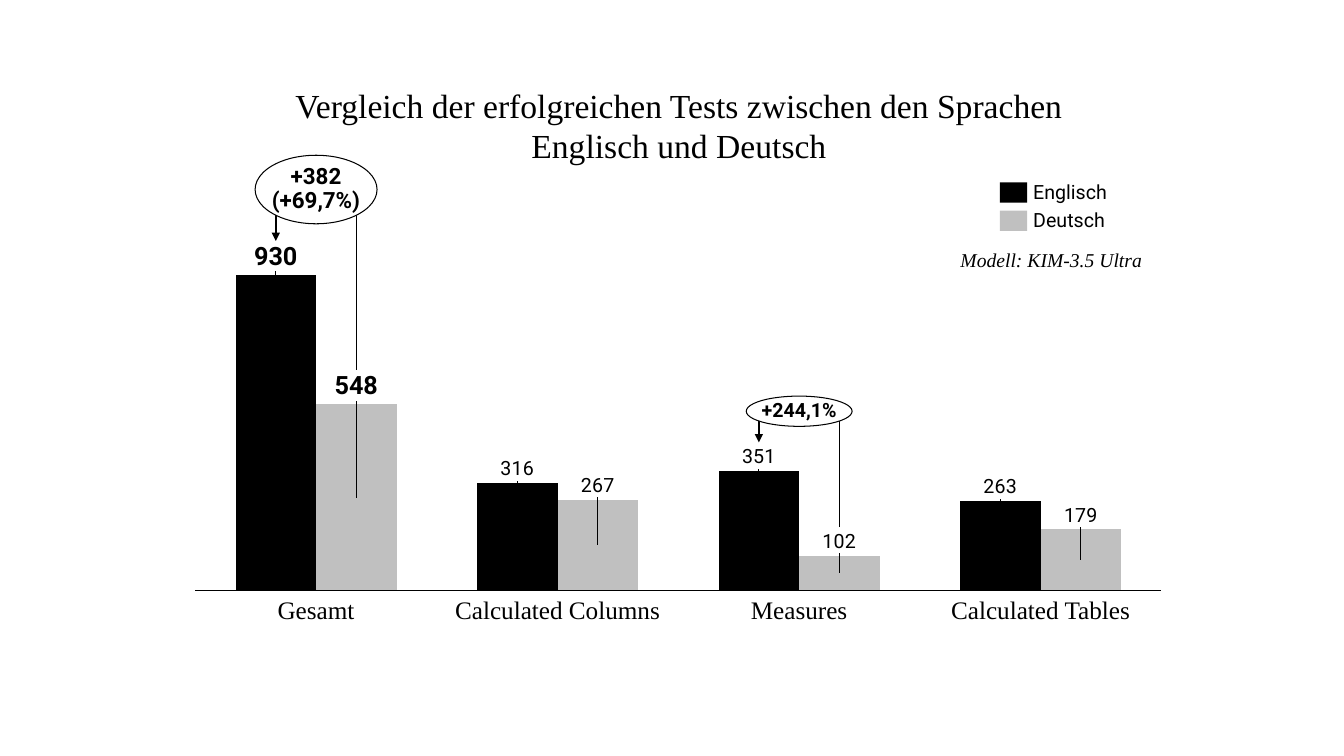
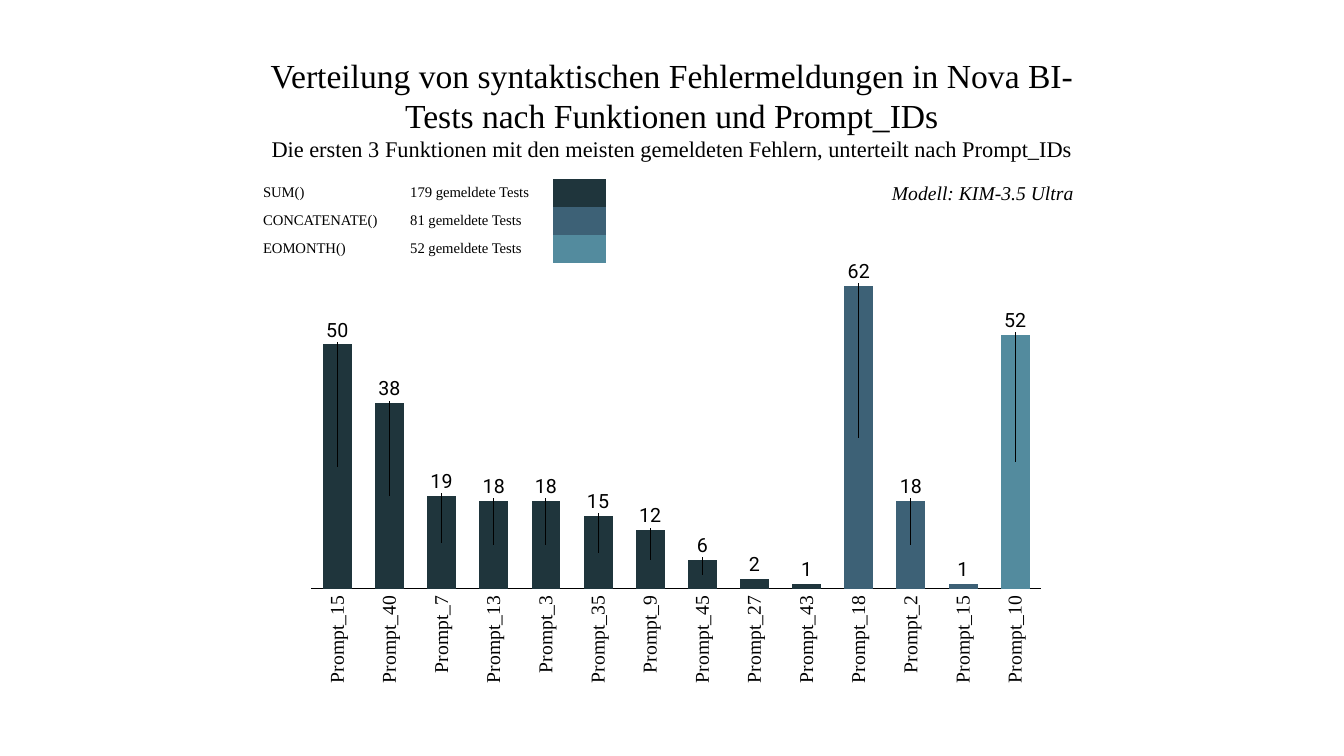
from dataclasses import dataclass

from lxml.etree import SubElement
from pptx import Presentation
from pptx.chart.data import CategoryChartData
from pptx.dml.color import RGBColor
from pptx.enum.chart import XL_CHART_TYPE, XL_LABEL_POSITION, XL_TICK_LABEL_POSITION, XL_TICK_MARK
from pptx.enum.shapes import MSO_CONNECTOR, MSO_SHAPE
from pptx.enum.text import MSO_ANCHOR, PP_ALIGN
from pptx.oxml import parse_xml
from pptx.oxml.ns import nsdecls, qn
from pptx.util import Inches, Pt


@dataclass(frozen=True)
class Theme:
    serif: str = "Times New Roman"
    sans: str = "Roboto"
    black: str = "000000"
    white: str = "FFFFFF"
    grey: str = "C0C0C0"
    dark: str = "1F353C"
    blue: str = "3D6176"
    teal: str = "538B9E"
    title: float = 24
    large: float = 18
    medium: float = 16
    label: float = 14
    table: float = 10.5
    base: float = 10


T = Theme()
COLS, ROWS = 133.33, 75
NO_TABLE_STYLE = "{2D5ABB26-0587-4C30-8999-92F81FD0307C}"
MODEL = "Modell: KIM-3.5 Ultra"


@dataclass(frozen=True)
class Plot:
    x: float
    y: float
    w: float
    h: float
    left: float
    top: float
    width: float
    height: float
    count: int

    @property
    def step(self):
        return self.w * self.width / self.count

    def center(self, i):
        return self.x + self.w * self.left + self.step * (i + 0.5)


def grid(*cells):
    return [Inches(c / 10) for c in cells]


def assign(obj, **values):
    for name, value in values.items():
        setattr(obj, name, value)


def style_font(font, size, name=T.serif, **extra):
    assign(font, size=Pt(size), name=name, **extra)
    font.color.rgb = RGBColor.from_string(T.black)


def paint(fill, color):
    fill.solid()
    fill.fore_color.rgb = RGBColor.from_string(color)


def write(tf, lines, align=PP_ALIGN.LEFT, spacing=None, **font):
    for i, (text, size) in enumerate(lines):
        p = tf.paragraphs[0] if i == 0 else tf.add_paragraph()
        assign(p, alignment=align, line_spacing=spacing)
        r = p.add_run()
        r.text = text
        style_font(r.font, size, **font)


def set_frame(tf, anchor=MSO_ANCHOR.TOP, inset=0, wrap=True):
    assign(tf, word_wrap=wrap, vertical_anchor=anchor, margin_left=inset, margin_right=inset,
           margin_top=inset, margin_bottom=inset)


def add_text(s, box, text, size, anchor=MSO_ANCHOR.TOP, vert=None, **style):
    tf = s.shapes.add_textbox(*grid(*box)).text_frame
    set_frame(tf, anchor)
    if vert:
        tf._txBody.bodyPr.set("vert", vert)
    write(tf, [(text, size)], spacing=0.9, **style)


def add_title(s, box, lines):
    sp = s.shapes.title
    assign(sp, **dict(zip(("left", "top", "width", "height"), grid(*box))))
    tf = sp.text_frame
    assign(tf, word_wrap=True, vertical_anchor=MSO_ANCHOR.TOP)
    write(tf, lines, PP_ALIGN.CENTER)


def add_model(s, x, y):
    tf = s.shapes.add_textbox(*grid(x, y, 21.4, 3.4)).text_frame
    tf.word_wrap = True
    write(tf, [(MODEL, T.label)], italic=True)


def add_shape(s, kind, box, fill, line=None):
    sp = s.shapes.add_shape(kind, *grid(*box))
    sp.shadow.inherit = False
    paint(sp.fill, fill)
    if line:
        paint(sp.line.fill, line)
        sp.line.width = Pt(0.75)
    else:
        sp.line.fill.background()
    return sp


def add_line(s, start, end, arrow=False):
    c = s.shapes.add_connector(MSO_CONNECTOR.STRAIGHT, *grid(*start, *end))
    paint(c.line.fill, T.black)
    c.line.width = Pt(1)
    if arrow:
        SubElement(c.element.find(".//" + qn("a:ln")), qn("a:tailEnd"), type="triangle")
    SubElement(c.element.spPr, qn("a:effectLst"))


def manual_layout(*settings):
    items = "".join(f'<c:{name} val="{value}"/>' for name, value in settings)
    return parse_xml(f'<c:layout {nsdecls("c")}><c:manualLayout>{items}</c:manualLayout></c:layout>')


def add_labels(ser, values, top, plot, sizes):
    for i, value in enumerate(values):
        size = sizes.get(i, T.label)
        dl = ser.points[i].data_label
        style_font(dl.font, size, T.sans, bold=i in sizes)
        dl.position = XL_LABEL_POSITION.CENTER
        rise = value / top * plot.height / 2 + size * 0.1 / plot.h
        idx = ser._element.xpath(f"c:dLbls/c:dLbl/c:idx[@val='{i}']")[0]
        idx.addnext(manual_layout(("x", 0), ("y", -round(rise, 4))))


def add_columns(s, kind, plot, series, gap, overlap, sizes):
    data = CategoryChartData()
    data.categories = [str(i + 1) for i in range(plot.count)]
    for i, (values, _) in enumerate(series):
        data.add_series(f"Series {i + 1}", values)
    chart = s.shapes.add_chart(kind, *grid(plot.x, plot.y, plot.w, plot.h), data).chart
    assign(chart, has_legend=False, has_title=False)
    style_font(chart.font, T.base, T.sans)
    top = max(max(values) for values, _ in series)
    assign(chart.value_axis, visible=False, has_major_gridlines=False,
           minimum_scale=0, maximum_scale=top)
    axis = chart.category_axis
    assign(axis, tick_label_position=XL_TICK_LABEL_POSITION.NONE, has_major_gridlines=False,
           major_tick_mark=XL_TICK_MARK.NONE, minor_tick_mark=XL_TICK_MARK.NONE)
    paint(axis.format.line.fill, T.black)
    axis.format.line.width = Pt(0.75)
    bars = chart.plots[0]
    assign(bars, gap_width=gap, overlap=overlap, vary_by_categories=False)
    for ser, (values, color) in zip(bars.series, series):
        paint(ser.format.fill, color)
        add_labels(ser, values, top, plot, sizes)
    area = chart.element.find(".//" + qn("c:plotArea"))
    for old in area.findall(qn("c:layout")):
        area.remove(old)
    area.insert(0, manual_layout(
        ("layoutTarget", "inner"), ("xMode", "edge"), ("yMode", "edge"),
        ("x", plot.left), ("y", plot.top), ("w", plot.width), ("h", plot.height)))
    return bars.series


def add_difference(s, center, half, bottom, arrow_end, size, lines):
    w, h, y = size
    left, right, middle = center - half, center + half, y + h / 2
    add_line(s, (right, bottom), (right, middle))
    add_line(s, (right, middle), (left, middle))
    add_line(s, (left, middle), (left, arrow_end), arrow=True)
    sp = add_shape(s, MSO_SHAPE.OVAL, (center - w / 2, y, w, h), T.white, T.black)
    set_frame(sp.text_frame, MSO_ANCHOR.MIDDLE, wrap=False)
    write(sp.text_frame, lines, PP_ALIGN.CENTER, 0.9, name=T.sans, bold=True)


def add_legend_table(s, box, widths, rows):
    table = s.shapes.add_table(len(rows), len(widths), *grid(*box)).table
    assign(table, first_row=False, horz_banding=False)
    table._tbl.tblPr.find(qn("a:tableStyleId")).text = NO_TABLE_STYLE
    for col, width in zip(table.columns, grid(*widths)):
        col.width = width
    for i, (name, count, color) in enumerate(rows):
        for j, text in enumerate((name, count)):
            cell = table.cell(i, j)
            cell.fill.background()
            write(cell.text_frame, [(text, T.table)])
        swatch = table.cell(i, len(widths) - 1)
        paint(swatch.fill, color)
        SubElement(swatch.text_frame.paragraphs[0]._p, qn("a:endParaRPr"), sz=str(int(T.table * 100)))


def build_languages(s):
    add_title(s, (23.7, 7.9, 87.3, 9.1),
              [("Vergleich der erfolgreichen Tests zwischen den Sprachen Englisch und Deutsch", T.title)])
    names = ["Gesamt", "Calculated Columns", "Measures", "Calculated Tables"]
    plot = Plot(18.5, 21.3, 97.6, 41.5, 0.009, 0.144, 0.982, 0.754, len(names))
    series = [((930, 316, 351, 263), T.black), ((548, 267, 102, 179), T.grey)]
    add_columns(s, XL_CHART_TYPE.COLUMN_CLUSTERED, plot, series, 100, 0, {0: T.large})
    for i, name in enumerate(names):
        add_text(s, (plot.center(i) - plot.step / 2, 59.3, plot.step, 2.7), name, T.large,
                 align=PP_ALIGN.CENTER)
    half = plot.step / 6
    add_difference(s, plot.center(0), half, 36.7, 23.9, (12.1, 6.8, 15.4),
                   [("+382", T.medium), ("(+69,7%)", T.medium)])
    add_difference(s, plot.center(2), half, 52.3, 43.9, (10.5, 3, 39.3), [("+244,1%", T.label)])
    for i, (name, color) in enumerate((("Englisch", T.black), ("Deutsch", T.grey))):
        y = 18.1 + 2.8 * i
        add_shape(s, MSO_SHAPE.RECTANGLE, (99.2, y, 2.7, 2), color)
        add_text(s, (102.5, y, 12, 2.1), name, T.label, MSO_ANCHOR.MIDDLE, name=T.sans)
    add_model(s, 94.3, 24.1)


def build_errors(s):
    add_title(s, (25.1, 4.9, 83.1, 11.8), [
        ("Verteilung von syntaktischen Fehlermeldungen in Nova BI-Tests nach Funktionen und Prompt_IDs",
         T.title),
        ("Die ersten 3 Funktionen mit den meisten gemeldeten Fehlern, unterteilt nach Prompt_IDs",
         T.medium)])
    add_model(s, 87.5, 17.5)
    groups = [
        ("SUM()", T.dark, [(15, 50), (40, 38), (7, 19), (13, 18), (3, 18), (35, 15), (9, 12),
                           (45, 6), (27, 2), (43, 1)]),
        ("CONCATENATE()", T.blue, [(18, 62), (2, 18), (15, 1)]),
        ("EOMONTH()", T.teal, [(10, 52)]),
    ]
    prompts = [(number, value, color) for _, color, items in groups for number, value in items]
    plot = Plot(30, 23.6, 74.2, 38.2, 0.012, 0.124, 0.976, 0.788, len(prompts))
    values = [value for _, value, _ in prompts]
    ser = add_columns(s, XL_CHART_TYPE.COLUMN_STACKED, plot, [(values, T.dark)], 80, 100, {})[0]
    for i, (number, _, color) in enumerate(prompts):
        if color != T.dark:
            paint(ser.points[i].format.fill, color)
        add_text(s, (plot.center(i) - 1.05, 59.1, 2.1, 10), f"Prompt_{number}", T.label,
                 MSO_ANCHOR.MIDDLE, vert="vert270", align=PP_ALIGN.RIGHT)
    rows = [(name, f"{sum(value for _, value in items)} gemeldete Tests", color)
            for name, color, items in groups]
    add_legend_table(s, (25.1, 17.8, 35, 8.2), (14.6, 15.2, 5.2), rows)


def main():
    prs = Presentation()
    prs.slide_width, prs.slide_height = grid(COLS, ROWS)
    for build in (build_languages, build_errors):
        build(prs.slides.add_slide(prs.slide_layouts[5]))
    prs.save("out.pptx")


if __name__ == "__main__":
    main()
